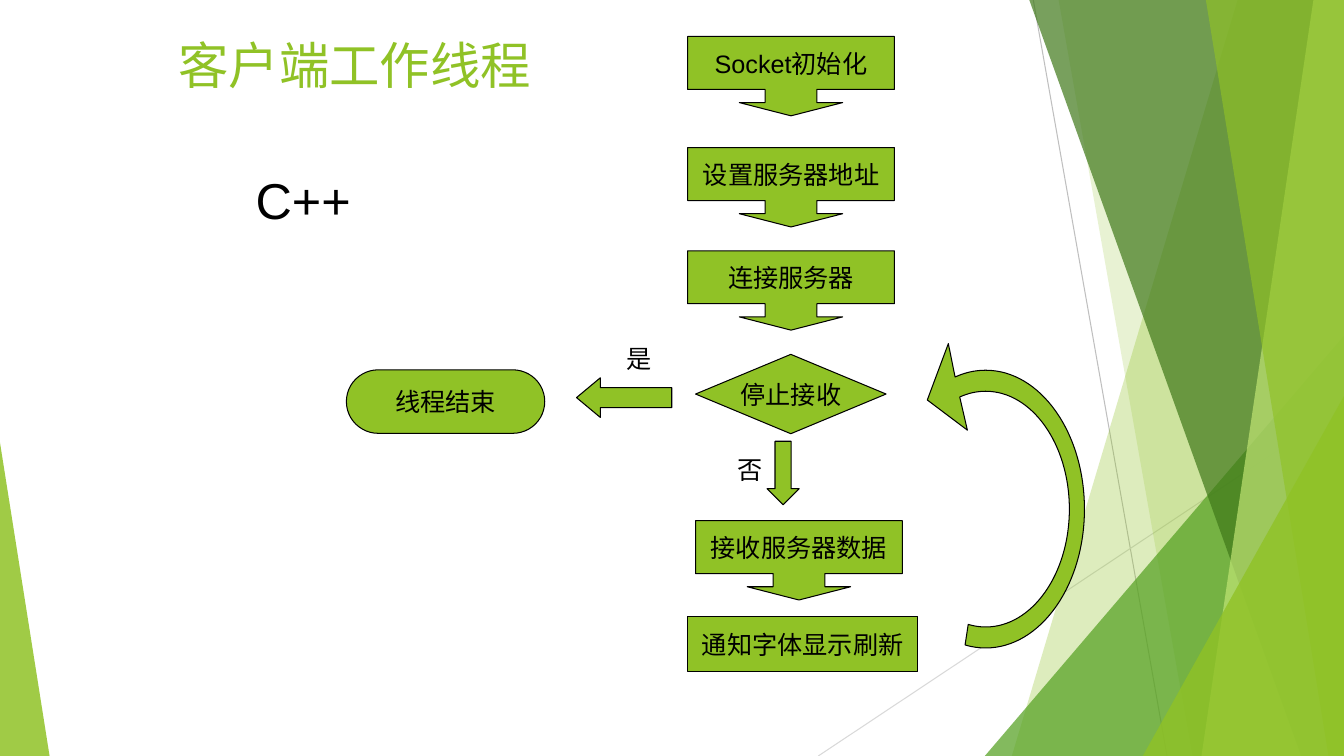
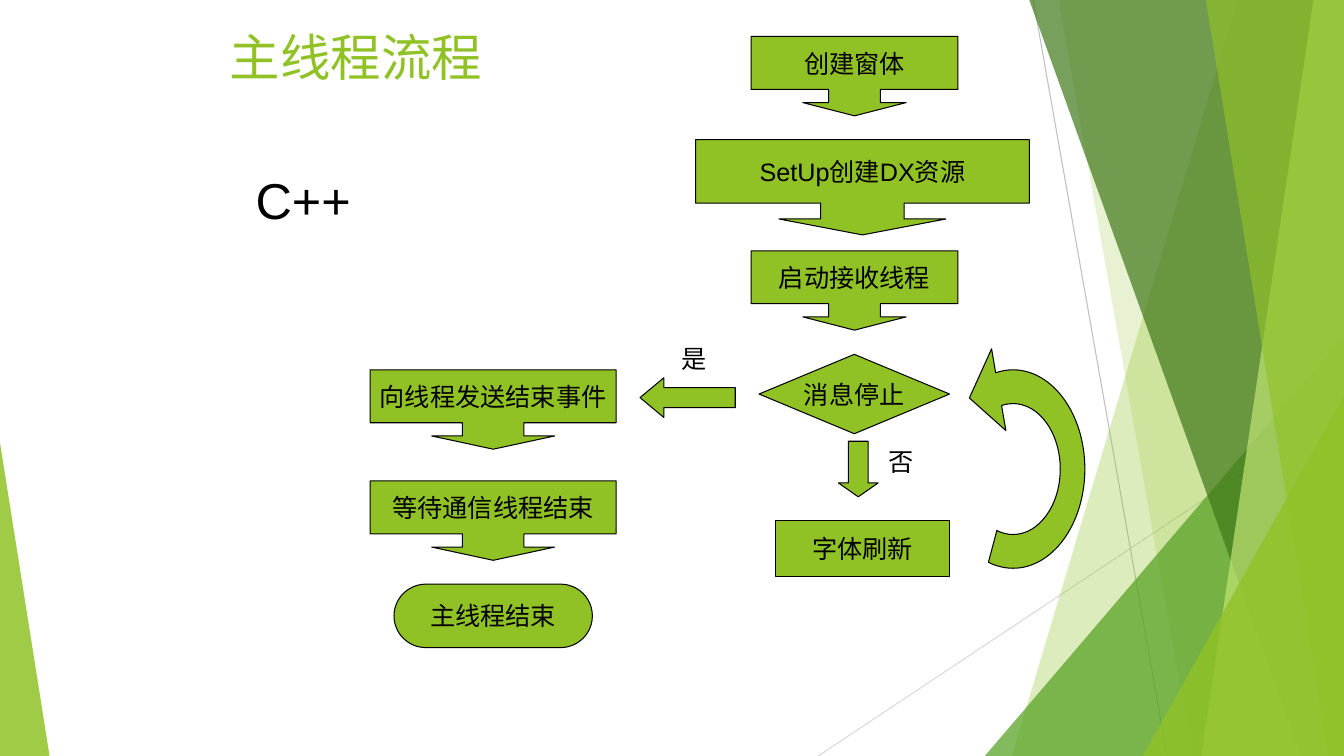
import math

import lxml.etree
import pptx
import pptx.dml.color
import pptx.enum.shapes
import pptx.enum.text
import pptx.oxml.ns
import pptx.util

Cm = pptx.util.Cm
Pt = pptx.util.Pt
RGB = pptx.dml.color.RGBColor
KIND = pptx.enum.shapes.MSO_SHAPE
TEXT = pptx.enum.text
qn = pptx.oxml.ns.qn

LIME = RGB(0x90, 0xC2, 0x26)
LEAF = RGB(0x54, 0xA0, 0x21)
MOSS = RGB(0x3F, 0x78, 0x19)
PALE = RGB(0xC0, 0xE4, 0x74)
GREY = RGB(0xBF, 0xBF, 0xBF)
MIST = RGB(0xD9, 0xD9, 0xD9)
BLACK = RGB(0, 0, 0)

WIDE, HIGH = 33.87, 19.05
HAIR = Pt(0.75)


def add_run(para, text, size, font, color):
    run = para.add_run()
    run.text = text
    run.font.size = Pt(size)
    run.font.name = font
    run.font.color.rgb = color


def paint(shape, color, alpha=None):
    """Fill a shape; see-through ones have no outline, others a black one."""
    shape.shadow.inherit = False
    shape.fill.solid()
    shape.fill.fore_color.rgb = color
    if alpha is None:
        shape.line.color.rgb = BLACK
        shape.line.width = HAIR
    else:
        shape.line.fill.background()
        tint = shape.element.spPr.find(".//" + qn("a:srgbClr"))
        lxml.etree.SubElement(tint, qn("a:alpha")).set("val", str(alpha * 1000))


def add_form(slide, points):
    """Add a closed outline through points given in centimetres."""
    spots = [(Cm(x), Cm(y)) for x, y in points]
    form = slide.shapes.build_freeform(*spots[0], scale=1.0)
    form.add_line_segments(spots[1:], close=True)
    return form.convert_to_shape()


def add_line(slide, start, end, color):
    line = slide.shapes.add_connector(
        pptx.enum.shapes.MSO_CONNECTOR.STRAIGHT, *map(Cm, start + end))
    line.line.color.rgb = color
    line.line.width = HAIR
    lxml.etree.SubElement(line.element.spPr, qn("a:effectLst"))


def add_band(slide, top, foot, color, alpha):
    """Add a band from a slanted left edge to the right side of the slide."""
    band = add_form(slide, [(top, 0), (WIDE, 0), (WIDE, HIGH), (foot, HIGH)])
    paint(band, color, alpha)


def add_wedge(slide, left, top, width, peak, color, alpha):
    """Add a triangle that stands on the bottom edge of the slide."""
    wedge = slide.shapes.add_shape(KIND.ISOSCELES_TRIANGLE, Cm(left), Cm(top),
                                   Cm(width), Cm(HIGH - top))
    wedge.adjustments[0] = peak
    paint(wedge, color, alpha)


def add_decor(slide):
    add_line(slide, (26.04, 0), (29.41, HIGH), GREY)
    add_line(slide, (WIDE, 10.24), (20.62, HIGH), MIST)
    add_band(slide, 31.19, 25.5, LIME, 30)
    add_band(slide, 26.68, 30.05, LIME, 20)
    add_wedge(slide, 24.82, 8.46, WIDE - 24.82, 1, LEAF, 72)
    add_band(slide, 25.94, 32.79, MOSS, 70)
    add_band(slide, 33.1, 30.28, PALE, 70)
    add_band(slide, 30.39, 33.48, LIME, 65)
    add_wedge(slide, 28.8, 9.98, WIDE - 28.8, 1, LIME, 80)
    add_wedge(slide, 0, 11.15, 1.25, 0, LIME, 85)


def set_layout(deck):
    """Move the shared decor into the layout, behind its title."""
    layout = deck.slide_layouts[5]
    for holder in list(layout.placeholders):
        if holder.placeholder_format.idx != 0:
            holder.element.getparent().remove(holder.element)
    slide = deck.slides.add_slide(layout)
    add_decor(slide)
    title = layout.placeholders[0].element
    for shape in list(slide.shapes):
        if not shape.is_placeholder:
            title.addprevious(shape.element)
    return slide


def set_title(slide, text, left, top, width, height):
    title = slide.shapes.title
    title.left, title.top = Cm(left), Cm(top)
    title.width, title.height = Cm(width), Cm(height)
    frame = title.text_frame
    frame.vertical_anchor = TEXT.MSO_ANCHOR.TOP
    para = frame.paragraphs[0]
    para.alignment = TEXT.PP_ALIGN.LEFT
    add_run(para, text, 36, "Karla", LIME)


def add_label(slide, text, left, top, width=1.14, height=1.02, size=18):
    box = slide.shapes.add_textbox(Cm(left), Cm(top), Cm(width), Cm(height))
    frame = box.text_frame
    frame.word_wrap = False
    frame.auto_size = TEXT.MSO_AUTO_SIZE.SHAPE_TO_FIT_TEXT
    add_run(frame.paragraphs[0], text, size, "Arial", BLACK)


def add_node(slide, kind, left, top, width, height, text=""):
    node = slide.shapes.add_shape(kind, Cm(left), Cm(top), Cm(width), Cm(height))
    paint(node, LIME)
    if text:
        frame = node.text_frame
        frame.word_wrap = False
        frame.vertical_anchor = TEXT.MSO_ANCHOR.MIDDLE
        para = frame.paragraphs[0]
        para.alignment = TEXT.PP_ALIGN.CENTER
        add_run(para, text, 18, "Arial", BLACK)
    return node


def add_step(slide, text, left, top, width=5.21, height=2):
    """Add a box with a down arrow whose shaft is a quarter of its width."""
    step = add_node(slide, KIND.DOWN_ARROW_CALLOUT, left, top, width, height, text)
    shaft = width / height / 4
    for index, value in enumerate((shaft, shaft, 0.167, 0.667)):
        step.adjustments[index] = value


def add_test(slide, text, left):
    add_node(slide, KIND.FLOWCHART_DECISION, left, 8.93, 4.8, 2, text)


def add_end(slide, text, left, top):
    add_node(slide, KIND.FLOWCHART_TERMINATOR, left, top, 5, 1.6, text)


def add_task(slide, text, left, top, width):
    add_node(slide, KIND.FLOWCHART_PROCESS, left, top, width, 1.4, text)


def add_arrow(slide, kind, left, top, width, height, head):
    arrow = add_node(slide, kind, left, top, width, height)
    arrow.adjustments[1] = head


def trace(mid, radii, stops):
    """Give the start of an elliptic arc, then three curve points a part."""
    def spot(angle, pull=0):
        cos, sin = math.cos(angle), math.sin(angle)
        return (mid[0] + radii[0] * (cos - pull * sin),
                mid[1] + radii[1] * (sin + pull * cos))

    turns = [math.radians(stop) for stop in stops]
    points = [spot(turns[0])]
    for start, end in zip(turns, turns[1:]):
        pull = 4 / 3 * math.tan((end - start) / 4)
        points += [spot(start, pull), spot(end, -pull), spot(end)]
    return points


def bend(lines):
    """Turn each three line segments of an outline into one curve."""
    for i in range(0, len(lines), 3):
        curve = lxml.etree.Element(qn("a:cubicBezTo"))
        lines[i].addprevious(curve)
        for line in lines[i:i + 3]:
            curve.append(line[0])
            line.getparent().remove(line)


def add_loop(slide, mid, outer, inner, span, head):
    """Add a bent arrow between two ellipses, closed by its head points."""
    stops = [span[0], -90, 0, 90, span[1]]
    near = trace(mid, inner, stops)
    far = trace(mid, outer, stops[::-1])
    loop = add_form(slide, near + far + head)
    lines = loop.element.spPr.findall(".//" + qn("a:lnTo"))
    size = len(near)
    bend(lines[:size - 1])
    bend(lines[size:2 * size - 1])
    paint(loop, LIME)


def draw_client(slide):
    set_title(slide, "客户端工作线程", 4.24, 0.72, 12.09, 3)
    add_label(slide, "C++", 6.19, 4.14, 2.92, 1.8, 36)
    for text, left, top in (("Socket初始化", 17.33, 0.92),
                            ("设置服务器地址", 17.33, 3.72),
                            ("连接服务器", 17.33, 6.32),
                            ("接收服务器数据", 17.53, 13.12)):
        add_step(slide, text, left, top)
    add_test(slide, "停止接收", 17.53)
    add_end(slide, "线程结束", 8.73, 9.32)
    add_task(slide, "通知字体显示刷新", 17.33, 15.53, 5.8)
    add_arrow(slide, KIND.DOWN_ARROW, 19.33, 11.12, 0.81, 1.6, 0.5)
    add_arrow(slide, KIND.LEFT_ARROW, 14.53, 9.52, 2.4, 1, 0.6)
    add_label(slide, "是", 15.54, 8.53)
    add_label(slide, "否", 18.33, 11.33)
    add_loop(slide, (24.84, 12.83), (2.49, 3.5), (2.11, 2.97), (-108, 102),
             [(23.9, 8.66), (23.37, 10.08), (24.38, 10.84)])


def draw_main(slide):
    set_title(slide, "主线程流程", 5.54, 0.53, 9.5, 3.4)
    add_label(slide, "C++", 6.19, 4.14, 2.92, 1.8, 36)
    add_step(slide, "创建窗体", 18.93, 0.92)
    add_step(slide, "SetUp创建DX资源", 17.53, 3.52, 8.41, 2.4)
    add_step(slide, "启动接收线程", 18.93, 6.32)
    add_step(slide, "向线程发送结束事件", 9.33, 9.32, 6.2)
    add_step(slide, "等待通信线程结束", 9.33, 12.12, 6.2)
    add_test(slide, "消息停止", 19.13)
    add_end(slide, "主线程结束", 9.93, 14.72)
    add_task(slide, "字体刷新", 19.54, 13.12, 4.4)
    add_arrow(slide, KIND.DOWN_ARROW, 21.13, 11.12, 1, 1.4, 0.35)
    add_arrow(slide, KIND.LEFT_ARROW, 16.13, 9.52, 2.4, 1, 0.6)
    add_label(slide, "是", 16.92, 8.53)
    add_label(slide, "否", 22.14, 11.13)
    add_loop(slide, (25.53, 11.82), (1.81, 2.5), (1.19, 1.65), (-104, 110),
             [(24.99, 8.79), (24.43, 10.03), (25.35, 10.85)])


def main():
    deck = pptx.Presentation()
    deck.slide_width, deck.slide_height = Cm(WIDE), Cm(HIGH)
    first = set_layout(deck)
    draw_client(first)
    draw_main(deck.slides.add_slide(first.slide_layout))
    deck.save("out.pptx")


if __name__ == "__main__":
    main()
